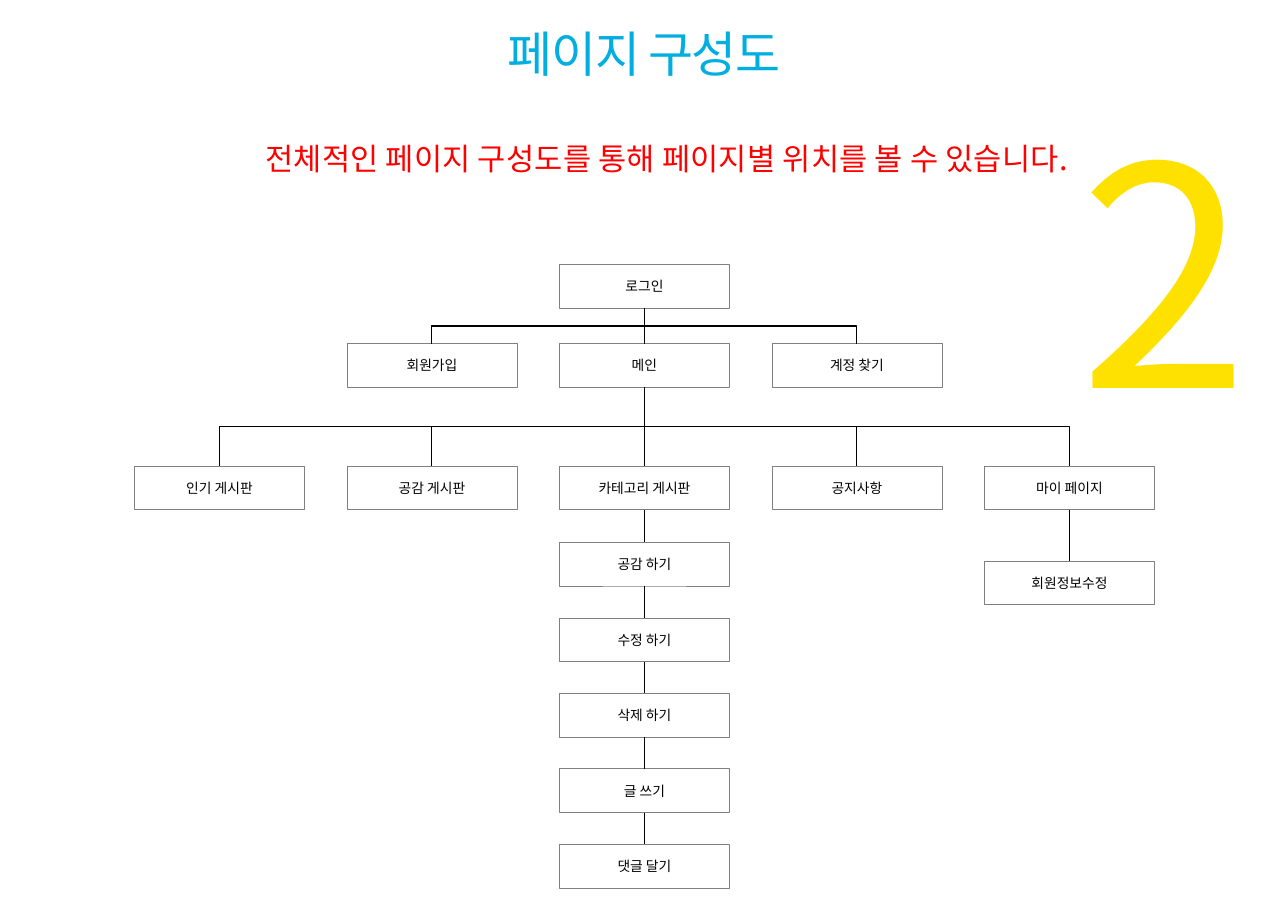
from lxml import etree
from pptx import Presentation
from pptx.dml.color import RGBColor
from pptx.enum.shapes import MSO_CONNECTOR, MSO_SHAPE
from pptx.enum.text import MSO_ANCHOR, PP_ALIGN
from pptx.oxml.ns import qn
from pptx.util import Cm, Pt

STRAIGHT, ELBOW = MSO_CONNECTOR.STRAIGHT, MSO_CONNECTOR.ELBOW
RECTANGLE = MSO_SHAPE.RECTANGLE
MIDDLE, TOP = MSO_ANCHOR.MIDDLE, MSO_ANCHOR.TOP
CENTER, LEFT = PP_ALIGN.CENTER, PP_ALIGN.LEFT
BLACK = RGBColor(0x00, 0x00, 0x00)
WHITE = RGBColor(0xFF, 0xFF, 0xFF)
GRAY = RGBColor(0x80, 0x80, 0x80)
RED = RGBColor(0xFF, 0x00, 0x00)
BLUE = RGBColor(0x00, 0xAE, 0xE0)
YELLOW = RGBColor(0xFF, 0xE1, 0x00)
FONT = "Noto Sans CJK KR"

BOX_WIDTH, BOX_HEIGHT = 3.92, 1.01
FIRST_COLUMN, COLUMN_STEP = 3.1, 4.9
LOGIN_TOP, MAIN_TOP, BOARD_TOP, PROFILE_TOP = 6.1, 7.92, 10.74, 12.93
ACTION_TOP, ACTION_STEP = 12.5, 1.74

PAGES = [
    ("로그인", 2, LOGIN_TOP, None),
    ("회원가입", 1, MAIN_TOP, "로그인"),
    ("메인", 2, MAIN_TOP, "로그인"),
    ("계정 찾기", 3, MAIN_TOP, "로그인"),
    ("인기 게시판", 0, BOARD_TOP, "메인"),
    ("공감 게시판", 1, BOARD_TOP, "메인"),
    ("카테고리 게시판", 2, BOARD_TOP, "메인"),
    ("공지사항", 3, BOARD_TOP, "메인"),
    ("마이 페이지", 4, BOARD_TOP, "메인"),
    ("회원정보수정", 4, PROFILE_TOP, "마이 페이지"),
]
ACTIONS = ["공감 하기", "수정 하기", "삭제 하기", "글 쓰기", "댓글 달기"]


def write_text(frame, text, size, color, align=CENTER):
    """Fill the frame with one styled paragraph and return it."""
    frame.word_wrap = True
    para = frame.paragraphs[0]
    para.text = text
    para.alignment = align
    font = para.font
    font.size = Pt(size)
    font.name = FONT
    font.color.rgb = color
    latin = para._p.pPr.find(qn("a:defRPr")).find(qn("a:latin"))
    east_asian = etree.Element(qn("a:ea"), typeface=FONT)
    latin.addnext(east_asian)
    return para


def add_heading(page, text, place, size, line, color, spacing, align=CENTER):
    """Add a text box without insets, with fixed line height and tracking."""
    box = page.shapes.add_textbox(*map(Cm, place))
    frame = box.text_frame
    frame.margin_left = frame.margin_right = 0
    frame.margin_top = frame.margin_bottom = 0
    frame.vertical_anchor = TOP
    para = write_text(frame, text, size, color, align)
    para.line_spacing = Pt(line)
    para._p.pPr.find(qn("a:defRPr")).set("spc", str(spacing))


def add_page_box(page, label, column, top):
    """Add one bordered box of the page map."""
    left = FIRST_COLUMN + column * COLUMN_STEP
    box = page.shapes.add_shape(
        RECTANGLE, Cm(left), Cm(top), Cm(BOX_WIDTH), Cm(BOX_HEIGHT))
    box.shadow.inherit = False
    box.fill.solid()
    box.fill.fore_color.rgb = WHITE
    box.line.color.rgb = GRAY
    box.line.width = Pt(0.25)
    box.text_frame.vertical_anchor = MIDDLE
    write_text(box.text_frame, label, 9, BLACK)
    return box


def turn_elbow(link, parent, child):
    """Turn an elbow so that it leaves downwards and arrives from above."""
    start_y = parent.top + parent.height
    start_x, end_x = (box.left + box.width // 2 for box in (parent, child))
    drop, reach = child.top - start_y, abs(end_x - start_x)
    link.left = (start_x + end_x - drop) // 2
    link.top = (start_y + child.top - reach) // 2
    link.width, link.height = drop, reach
    to_right = end_x > start_x
    frame = link.element.spPr.find(qn("a:xfrm"))
    frame.set("rot", "16200000" if to_right else "5400000")
    frame.set("flipH", "1" if to_right else "0")
    frame.set("flipV", "0")


def add_link(page, parent, child):
    """Join the bottom of the parent box to the top of the child box."""
    straight = parent.left == child.left
    link = page.shapes.add_connector(
        STRAIGHT if straight else ELBOW, 0, 0, 0, 0)
    link.begin_connect(parent, 2)
    link.end_connect(child, 0)
    if not straight:
        turn_elbow(link, parent, child)
    link.line.color.rgb = BLACK
    link.line.width = Pt(0.75)
    etree.SubElement(link.element.spPr, qn("a:effectLst"))


def main():
    """Build the page map slide."""
    deck = Presentation()
    deck.slide_width, deck.slide_height = Cm(29.7), Cm(21)
    page = deck.slides.add_slide(deck.slide_layouts[6])

    add_heading(page, "전체적인 페이지 구성도를 통해 페이지별 위치를 볼 수 있습니다.",
                (5.05, 3.58, 20.65, 2.01), 20, 14, RED, 10)
    add_heading(page, "페이지 구성도", (5.61, 0.84, 18.49, 2.08),
                32, 30, BLUE, -100)
    add_heading(page, "2", (24.89, 3.3, 3.71, 7.01),
                200, 200, YELLOW, -100, LEFT)

    parents = ["카테고리 게시판"] + ACTIONS
    actions = [(label, 2, ACTION_TOP + row * ACTION_STEP, parents[row])
               for row, label in enumerate(ACTIONS)]
    tree = PAGES + actions
    boxes = {label: add_page_box(page, label, column, top)
             for label, column, top, _ in tree}
    for label, _, _, parent in tree:
        if parent:
            add_link(page, boxes[parent], boxes[label])

    deck.save("out.pptx")


if __name__ == "__main__":
    main()
